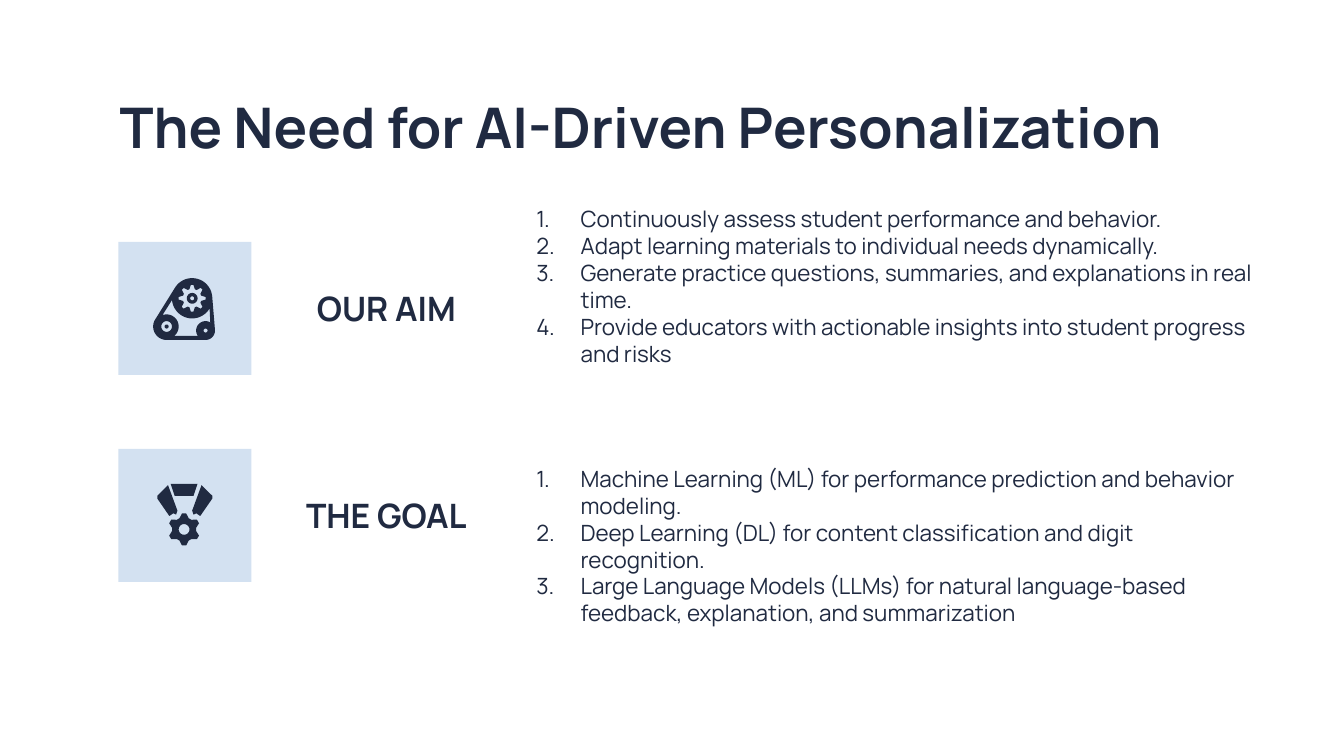
from math import cos, radians, sin

from lxml.etree import SubElement
from pptx import Presentation
from pptx.dml.color import RGBColor
from pptx.enum.shapes import MSO_SHAPE as Preset
from pptx.enum.text import MSO_ANCHOR as Anchor, MSO_AUTO_SIZE as AutoSize, PP_ALIGN as Align
from pptx.oxml.ns import qn
from pptx.util import Inches, Pt

NAVY = "202A41"
PALE_BLUE = "D3E1F1"


def paint(shape, color):
    shape.fill.solid()
    shape.fill.fore_color.rgb = RGBColor.from_string(color)
    shape.line.fill.background()
    shape.shadow.inherit = False


def ring(x, y, outer, inner=None, teeth=8, start=0, sweep=360):
    points = []
    for step in range(teeth * 4 + 1):
        radius = outer if inner is None or step % 4 < 2 else inner
        angle = radians(start + sweep * step / (teeth * 4))
        points.append((x + radius * cos(angle), y + radius * sin(angle)))
    return points


presentation = Presentation()
presentation.slide_width = Inches(10)
presentation.slide_height = Inches(10) * 9 // 16
slide = presentation.slides.add_slide(presentation.slide_layouts[4])

aims = [
    "Continuously assess student performance and behavior.",
    "Adapt learning materials to individual needs dynamically.",
    "Generate practice questions, summaries, and explanations in real time.",
    "Provide educators with actionable insights into student progress and risks",
]
goals = [
    "Machine Learning (ML) for performance prediction and behavior modeling.",
    "Deep Learning (DL) for content classification and digit recognition.",
    "Large Language Models (LLMs) for natural language-based feedback, explanation, and summarization",
]
texts = [
    ("title", ["The Need for AI-Driven Personalization"], (0.79, 0.59, 8.59, 0.63)),
    ("heading", ["OUR AIM"], (2.03, 1.8, 1.69, 0.99)),
    ("list", aims, (3.72, 1.46, 5.74, 1.34)),
    ("heading", ["THE GOAL"], (2.03, 3.34, 1.69, 0.99)),
    ("list", goals, (3.72, 3.34, 5.66, 1.44)),
]
sizes = {"title": 30, "heading": 18, "list": 12}

for index, (role, lines, box) in enumerate(texts):
    shape = slide.placeholders[index]
    shape.left, shape.top, shape.width, shape.height = map(Inches, box)
    frame = shape.text_frame
    frame.text = "\n".join(lines)
    frame.word_wrap = True
    frame.auto_size = AutoSize.NONE
    frame.vertical_anchor = Anchor.TOP if role == "title" else Anchor.MIDDLE
    frame.margin_left = frame.margin_right = Inches(0.1)
    frame.margin_top = frame.margin_bottom = Inches(0.1)
    for paragraph in frame.paragraphs:
        paragraph.alignment = Align.CENTER if role == "heading" else Align.LEFT
        paragraph.space_before = Pt(0)
        paragraph.font.name = "Manrope"
        paragraph.font.size = Pt(sizes[role])
        paragraph.font.bold = role != "list"
        paragraph.font.color.rgb = RGBColor.from_string(NAVY)
        if role == "list":
            paragraph.line_spacing = Pt(14.4)
            properties = paragraph._p.get_or_add_pPr()
            properties.set("marL", str(Inches(0.5)))
            properties.set("indent", str(Inches(-0.33)))
            bullet = SubElement(properties, qn("a:buAutoNum"), type="arabicPeriod")
            properties.remove(bullet)
            properties.insert_element_before(bullet, "a:tabLst", "a:defRPr", "a:extLst")

for top in (1.8, 3.34):
    tile = slide.shapes.add_shape(
        Preset.RECTANGLE, Inches(0.88), Inches(top), Inches(0.99), Inches(0.99))
    paint(tile, PALE_BLUE)

belt = (
    ring(1.43, 2.22, 0.15, start=-150, sweep=144)
    + ring(1.53, 2.46, 0.07, start=-6, sweep=96)
    + ring(1.24, 2.43, 0.1, start=90, sweep=120)
)
belt_window = (
    ring(1.43, 2.22, 0.15, start=175, sweep=-145)
    + ring(1.53, 2.46, 0.07, start=-60, sweep=-155)
    + ring(1.24, 2.43, 0.09, start=50, sweep=-160)
)
pulleys = [
    [belt, belt_window, ring(1.43, 2.22, 0.1, 0.07, start=-5.6),
     ring(1.24, 2.43, 0.04), ring(1.53, 2.46, 0.015)],
    [ring(1.43, 2.22, 0.04), ring(1.43, 2.22, 0.015)],
    [ring(1.24, 2.43, 0.015)],
]
left_ribbon = [(1.25, 3.61), (1.17, 3.69), (1.17, 3.71), (1.26, 3.84),
               (1.29, 3.82), (1.31, 3.83), (1.32, 3.8)]
medal = [
    [left_ribbon],
    [[(2.75 - x, y) for x, y in left_ribbon]],
    [[(1.27, 3.6), (1.3, 3.69), (1.44, 3.69), (1.47, 3.6)]],
    [ring(1.37, 3.94, 0.12, 0.09, teeth=6, start=-97.5), ring(1.37, 3.94, 0.04)],
]

for icon in (pulleys, medal):
    group = slide.shapes.add_group_shape()
    for outlines in icon:
        builder = None
        for outline in outlines:
            points = [(Inches(x), Inches(y)) for x, y in outline]
            if builder is None:
                builder = group.shapes.build_freeform(*points[0], scale=1.0)
            else:
                builder.move_to(*points[0])
            builder.add_line_segments(points[1:], close=True)
        paint(builder.convert_to_shape(), NAVY)

presentation.save("out.pptx")
